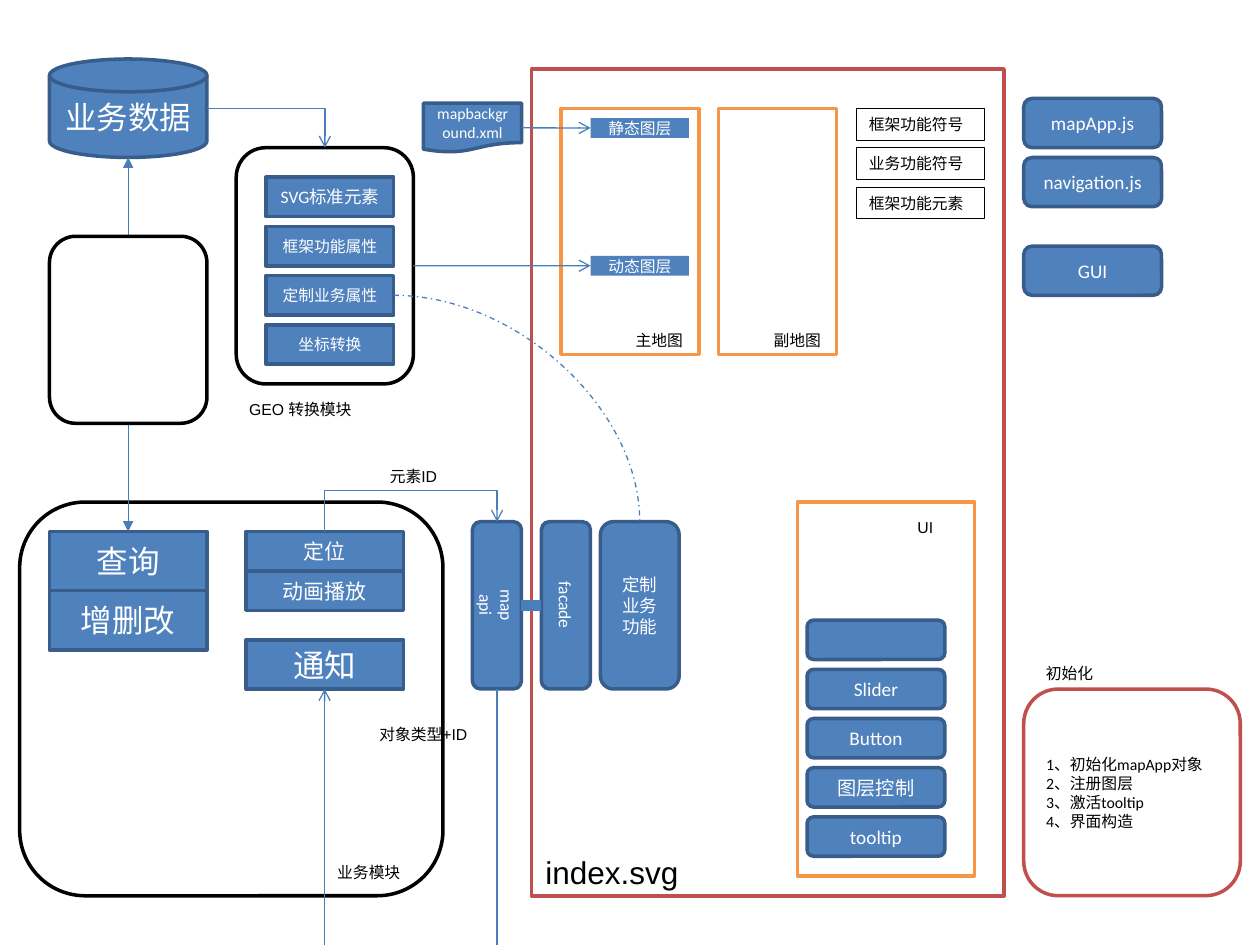
from dataclasses import dataclass

from lxml.etree import SubElement as Sub
from pptx import Presentation
from pptx.dml.color import RGBColor as Rgb
from pptx.enum.dml import MSO_LINE as Dash
from pptx.enum.shapes import MSO_CONNECTOR as Wire, MSO_SHAPE as Kind
from pptx.enum.text import MSO_ANCHOR as Anchor, MSO_AUTO_SIZE as Auto, PP_ALIGN as Align
from pptx.oxml.ns import qn
from pptx.util import Pt


@dataclass(frozen=True)
class Theme:
    """Colours, fonts and type sizes."""
    blue: str = "4F81BD"
    edge: str = "385D8A"
    wire: str = "4A7EBB"
    red: str = "C0504D"
    gold: str = "F79646"
    white: str = "FFFFFF"
    black: str = "000000"
    sans: str = "Calibri"
    plain: str = "Arial"
    tiny: int = 9
    small: int = 10
    mid: int = 11
    large: int = 12
    huge: int = 18


T = Theme()


def sub(box, x, y, w, h):
    """Give a box placed relative to another."""
    return box[0] + x, box[1] + y, w, h


def write(shape, text, size=T.tiny, font=T.sans, color=T.white, align=Align.CENTER,
          anchor=Anchor.MIDDLE, grow=False, vert=False):
    """Fill a shape with formatted text, one paragraph a line."""
    frame = shape.text_frame
    frame.word_wrap = True
    frame.vertical_anchor = anchor
    if grow:
        frame.auto_size = Auto.SHAPE_TO_FIT_TEXT
    wide, slim = (3.6, 7.2) if vert else (7.2, 3.6)
    frame.margin_left = frame.margin_right = Pt(wide)
    frame.margin_top = frame.margin_bottom = Pt(slim)
    if vert:
        frame._txBody.bodyPr.set("vert", "eaVert")
        frame._txBody.bodyPr.set("anchorCtr", "1")
    frame.text = text
    for para in frame.paragraphs:
        para.alignment = align
        face = para.runs[0].font
        face.size, face.name = Pt(size), font
        face.color.rgb = Rgb.from_string(color)


def draw(slide, box, text="", kind=Kind.RECTANGLE, fill=T.blue, line=T.edge, width=2, **form):
    """Add a shape with its fill, line and text."""
    shape = slide.shapes.add_shape(kind, *map(Pt, box))
    shape.shadow.inherit = False
    if fill:
        shape.fill.solid()
        shape.fill.fore_color.rgb = Rgb.from_string(fill)
    else:
        shape.fill.background()
    if line:
        shape.line.color.rgb = Rgb.from_string(line)
        shape.line.width = Pt(width)
    else:
        shape.line.fill.background()
    if text:
        write(shape, text, **form)
    return shape


def label(slide, box, text, **form):
    """Add a plain black caption."""
    form = dict(font=T.plain, color=T.black, anchor=Anchor.TOP, grow=True) | form
    write(slide.shapes.add_textbox(*map(Pt, box)), text, **form)


def stack(slide, box, step, texts, **form):
    """Draw equal shapes down a column."""
    x, y, w, h = box
    return [draw(slide, (x, y + i * step, w, h), text, **form) for i, text in enumerate(texts)]


def spot(end):
    """Find the point of a (shape, site) pair or a plain point."""
    part, site = end
    if not hasattr(part, "left"):
        return Pt(part), Pt(site)
    x, y = ((1, 0), (0, 1), (1, 2), (2, 1))[site]
    return part.left + part.width * x // 2, part.top + part.height * y // 2


def join(slide, start, end, kind=Wire.STRAIGHT, form=None, head=None, tail="arrow", width=0.75, dash=None):
    """Link two ends, gluing those that lie on shapes."""
    wire = slide.shapes.add_connector(kind, *spot(start), *spot(end))
    if hasattr(start[0], "left"):
        wire.begin_connect(*start)
    if hasattr(end[0], "left"):
        wire.end_connect(*end)
    wire.line.color.rgb = Rgb.from_string(T.wire)
    wire.line.width = Pt(width)
    if dash:
        wire.line.dash_style = dash
    prop = wire._element.spPr
    if form:
        prop.find(qn("a:prstGeom")).set("prst", form)
    for tag, tip in (("a:headEnd", head), ("a:tailEnd", tail)):
        if tip:
            Sub(wire.line._get_or_add_ln(), qn(tag), type=tip)
    Sub(prop, qn("a:effectLst"))
    return wire


def arch(slide, start, end, rise):
    """Link two tops with an elbow that rises above the start."""
    wire = join(slide, start, end, Wire.ELBOW)
    (x1, y1), (x2, y2) = spot(start), spot(end)
    w, h = y1 - y2, x2 - x1
    wire.left, wire.top = (x1 + x2 - w) // 2, (y1 + y2 - h) // 2
    wire.width, wire.height = w, h
    prop = wire._element.spPr
    for name, value in (("rot", "5400000"), ("flipH", "1"), ("flipV", "1")):
        prop.find(qn("a:xfrm")).set(name, value)
    rules = prop.find(qn("a:prstGeom")).get_or_add_avLst()
    Sub(rules, qn("a:gd"), name="adj1", fmla=f"val {int(Pt(rise) / w * 100000)}")


def page(slide, box):
    """Draw the page frame with its name."""
    draw(slide, box, kind=Kind.FLOWCHART_PROCESS, fill=T.white, line=T.red)
    label(slide, sub(box, 0.8, 444.4, 110, 29), "index.svg", size=T.huge, align=Align.LEFT)


def maps(slide, box):
    """Draw both maps and return the layers of the main one."""
    for x, w, left, wide, name in ((0, 78.75, 28, 56.25, "主地图"), (90, 67.5, 112.5, 45, "副地图")):
        draw(slide, sub(box, x, 0, w, box[3]), fill=T.white, line=T.gold)
        label(slide, sub(box, left, 123.75, wide, 18), name)
    return stack(slide, sub(box, 16.9, 5.6, 56.25, 11.25), 78.75, ("静态图层", "动态图层"), line=None)


def legend(slide, box):
    """Draw the outlined notes."""
    stack(slide, sub(box, 0, 0, box[2], 18), 22.5, ("框架功能符号", "业务功能符号", "框架功能元素"),
          fill=None, line=T.black, width=0.25, font=T.plain, color=T.black,
          align=Align.LEFT, anchor=Anchor.TOP, grow=True)


def files(slide, box):
    """Draw the script files."""
    for y, name in ((0, "mapApp.js"), (33.75, "navigation.js"), (84.4, "GUI")):
        draw(slide, sub(box, 0, y, box[2], 28.1), name, Kind.ROUNDED_RECTANGLE, size=T.mid)


def geo(slide, box):
    """Draw the conversion module; return its frame and business item."""
    frame = draw(slide, box, kind=Kind.ROUNDED_RECTANGLE, fill=T.white, line=T.black)
    item = sub(box, 16.9, 16.9, 73.1, 22.5)
    draw(slide, item, "SVG标准元素", size=T.small)
    items = stack(slide, sub(item, 0, 28.1, *item[2:]), 28.1, ("框架功能属性", "定制业务属性", "坐标转换"))
    label(slide, sub(box, 0, 140.6, 73.1, 29), "GEO 转换模块")
    return frame, items[1]


def trade(slide, box):
    """Draw the business module; return query, locate and notice."""
    draw(slide, box, kind=Kind.ROUNDED_RECTANGLE, fill=T.white, line=T.black)
    label(slide, sub(box, 174.4, 202.7, 56.25, 18), "业务模块", align=Align.LEFT)
    ask = stack(slide, sub(box, 17, 16.9, 90, 33.75), 33.75, ("查询", "增删改"), size=T.huge)
    find = stack(slide, sub(box, 129.25, 16.9, 90, 22.5), 22.5, ("定位", "动画播放"), size=T.large)
    note = draw(slide, sub(box, 129.25, 78.75, 90, 28.1), "通知", size=T.huge)
    return ask[0], find[0], note


def ports(slide, box):
    """Draw the interface blocks."""
    parts = ((0, 28, "map\napi", True), (39.4, 28, "facade", True), (73.1, 45, "定制业务功能", False))
    return [draw(slide, sub(box, x, 0, w, box[3]), text, Kind.ROUNDED_RECTANGLE, size=T.small, vert=vert)
            for x, w, text, vert in parts]


def panel(slide, box):
    """Draw the UI panel with its controls."""
    draw(slide, box, fill=T.white, line=T.gold)
    label(slide, sub(box, 56.25, 5.6, 33.75, 18), "UI")
    stack(slide, sub(box, 5.6, 67.5, 78.75, 22.5), 28.1, ("", "Slider", "Button", "图层控制", "tooltip"),
          kind=Kind.ROUNDED_RECTANGLE, size=T.mid)


def setup(slide, box):
    """Draw the start-up steps."""
    draw(slide, box, "1、初始化mapApp对象\n2、注册图层\n3、激活tooltip\n4、界面构造", Kind.ROUNDED_RECTANGLE,
         fill=T.white, line=T.red, color=T.black, align=Align.LEFT)
    label(slide, sub(box, 5.6, -18, 73.1, 18), "初始化", align=Align.LEFT)


def main():
    """Build the slide."""
    deck = Presentation()
    deck.slide_width, deck.slide_height = Pt(720), Pt(540)
    slide = deck.slides.add_slide(deck.slide_layouts[6])
    draw(slide, (28.25, 33.75, 90, 56.25), "业务数据", Kind.FLOWCHART_MAGNETIC_DISK, size=T.huge)
    page(slide, (303.75, 39.4, 270, 472.5))
    still, live = maps(slide, (320.6, 61.9, 157.5, 140.6))
    legend(slide, (489.4, 61.9, 73.1, 63))
    files(slide, (585, 56.25, 78.75, 112.5))
    frame, item = geo(slide, (135, 84.4, 101.25, 135))
    query, find, note = trade(slide, (11.25, 286.9, 241.9, 225))
    port, face, work = ports(slide, (270, 298.1, 118.1, 95.6))
    panel(slide, (455.6, 286.9, 101.25, 213.75))
    setup(slide, (585, 393.75, 123.75, 118.1))
    ground = draw(slide, (241.9, 59, 56.25, 28.1), "mapbackground.xml", Kind.FLOWCHART_DOCUMENT)
    join(slide, (118.25, 61.9), (frame, 0), Wire.ELBOW, "bentConnector2")
    join(slide, (frame, 3), (live, 1))
    join(slide, (ground, 3), (still, 1))
    join(slide, (73.25, 90), (query, 0), head="triangle", tail="triangle")
    draw(slide, (28.25, 135, 90, 106.9), kind=Kind.ROUNDED_RECTANGLE, fill=T.white, line=T.black)
    join(slide, (port, 3), (face, 1), tail=None, width=6)
    join(slide, (item, 3), (work, 0), Wire.CURVE, "curvedConnector2", tail=None, dash=Dash.DASH_DOT)
    arch(slide, (find, 0), (port, 0), 23.6)
    join(slide, (port, 2), (284, 540), tail=None)
    join(slide, (185.5, 540), (note, 2))
    label(slide, (196.9, 410.6, 90, 18), "对象类型+ID")
    label(slide, (191.25, 262.9, 90, 18), "元素ID")
    deck.save("out.pptx")


if __name__ == "__main__":
    main()
